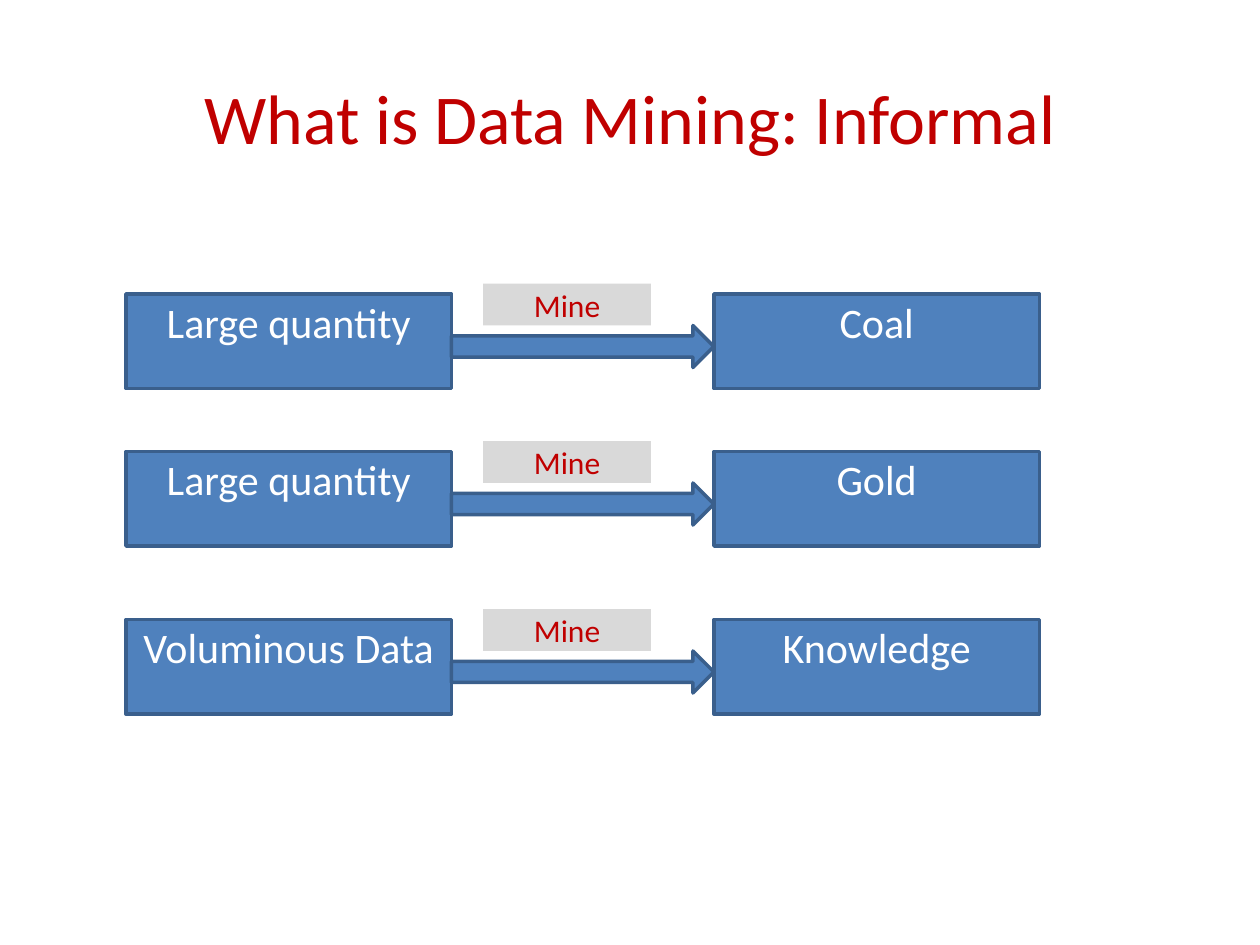
from pptx import Presentation
from pptx.dml.color import RGBColor
from pptx.enum.shapes import MSO_SHAPE as Shape
from pptx.enum.text import MSO_ANCHOR as Anchor, PP_ALIGN as Align
from pptx.util import Pt

RED = RGBColor(0xC0, 0x00, 0x00)
BLUE = RGBColor(0x4F, 0x81, 0xBD)
DARK_BLUE = RGBColor(0x3A, 0x5F, 0x8C)
GRAY = RGBColor(0xD9, 0xD9, 0xD9)
WHITE = RGBColor(0xFF, 0xFF, 0xFF)

BOX_LEFT, BOX_WIDTH, BOX_HEIGHT = 72, 186, 54
ARROW_LEFT, ARROW_WIDTH, ARROW_HEIGHT = BOX_LEFT + BOX_WIDTH, 150, 24
RESULT_LEFT = ARROW_LEFT + ARROW_WIDTH
ROWS = [
    (168, "Large quantity", "Coal"),
    (258, "Large quantity", "Gold"),
    (354, "Voluminous Data", "Knowledge"),
]


def write_text(shape, text, size, color, anchor=Anchor.MIDDLE):
    """Write one centred line of text into a shape."""
    frame = shape.text_frame
    frame.word_wrap = True
    frame.vertical_anchor = anchor
    paragraph = frame.paragraphs[0]
    paragraph.text = text
    paragraph.alignment = Align.CENTER
    paragraph.font.name = "Calibri"
    paragraph.font.size = Pt(size)
    paragraph.font.color.rgb = color


def add_shape(slide, kind, left, top, width, height, fill, line=None):
    """Add a flat filled shape, outlined if a line colour is given."""
    shape = slide.shapes.add_shape(kind, Pt(left), Pt(top), Pt(width), Pt(height))
    shape.shadow.inherit = False
    shape.fill.solid()
    shape.fill.fore_color.rgb = fill
    if line is None:
        shape.line.fill.background()
    else:
        shape.line.color.rgb = line
        shape.line.width = Pt(2)
    return shape


def add_box(slide, left, top, text):
    """Add a blue box with its text in the upper part."""
    box = add_shape(slide, Shape.RECTANGLE, left, top, BOX_WIDTH, BOX_HEIGHT, BLUE, DARK_BLUE)
    write_text(box, text, 24, WHITE, Anchor.TOP)
    box.text_frame.margin_top = Pt(1.4)


def add_row(slide, top, source, result):
    """Add a source box, a labelled arrow and a result box."""
    add_box(slide, BOX_LEFT, top, source)
    add_box(slide, RESULT_LEFT, top, result)
    arrow_top = top + (BOX_HEIGHT - ARROW_HEIGHT) / 2 + 3
    add_shape(slide, Shape.RIGHT_ARROW, ARROW_LEFT, arrow_top,
              ARROW_WIDTH, ARROW_HEIGHT, BLUE, DARK_BLUE)
    label = add_shape(slide, Shape.RECTANGLE, ARROW_LEFT + 18, arrow_top - 24, 96, 24, GRAY)
    write_text(label, "Mine", 18, RED)


def add_title(slide, text):
    """Place and fill the title placeholder."""
    title = slide.shapes.title
    title.left, title.top, title.width, title.height = Pt(36), Pt(21.6), Pt(648), Pt(90)
    write_text(title, text, 40, RED)


def main():
    """Build the slide and save it."""
    presentation = Presentation()
    presentation.slide_width, presentation.slide_height = Pt(720), Pt(540)
    slide = presentation.slides.add_slide(presentation.slide_layouts[5])
    add_title(slide, "What is Data Mining: Informal")
    for top, source, result in ROWS:
        add_row(slide, top, source, result)
    presentation.save("out.pptx")


if __name__ == "__main__":
    main()
